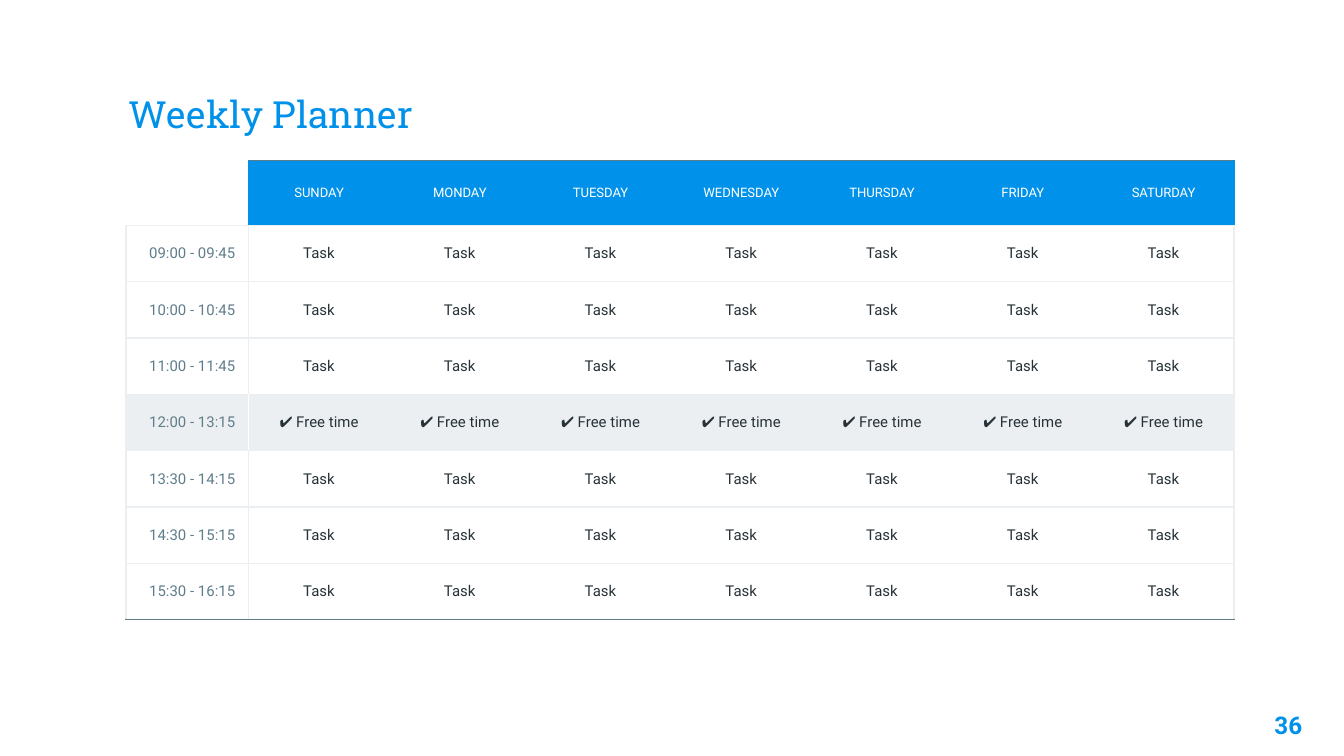
import dataclasses
import typing

import lxml.etree
import pptx
import pptx.dml.color
import pptx.enum.text
import pptx.oxml.ns
import pptx.table
import pptx.text.text
import pptx.util

Cm = pptx.util.Cm
Align = pptx.enum.text.PP_ALIGN
Anchor = pptx.enum.text.MSO_ANCHOR


@dataclasses.dataclass(frozen=True)
class Theme:
    accent: str = "0091EA"
    slate: str = "607D8B"
    pale: str = "ECEFF1"
    ink: str = "263238"
    white: str = "FFFFFF"
    title_font: str = "Roboto Slab"
    body_font: str = "Roboto"
    title_size: int = 20
    number_size: int = 13
    header_size: int = 7
    body_size: int = 8
    border_width: float = 0.75
    inset: float = 0.25


@dataclasses.dataclass(frozen=True)
class TextStyle:
    size: int
    color: str
    align: Align
    font: str
    bold: bool = False


@dataclasses.dataclass(frozen=True)
class Label:
    text: str
    left: float
    top: float
    width: float
    height: float
    anchor: Anchor
    style: TextStyle


@dataclasses.dataclass(frozen=True)
class Slot:
    time: str
    activity: str = "Task"
    is_break: bool = False


THEME = Theme()
TITLE = TextStyle(THEME.title_size, THEME.accent, Align.LEFT, THEME.title_font)
NUMBER = TextStyle(THEME.number_size, THEME.accent, Align.RIGHT, THEME.body_font, True)
HEADER = TextStyle(THEME.header_size, THEME.white, Align.CENTER, THEME.body_font)
TIME = TextStyle(THEME.body_size, THEME.slate, Align.RIGHT, THEME.body_font)
ACTIVITY = TextStyle(THEME.body_size, THEME.ink, Align.CENTER, THEME.body_font)

LABELS = [
    Label("Weekly Planner", 2.18, 0.86, 21.03, 1.96, Anchor.BOTTOM, TITLE),
    Label("36", 23.34, 13.18, 1.52, 1.09, Anchor.TOP, NUMBER),
]
DAYS = ["SUNDAY", "MONDAY", "TUESDAY", "WEDNESDAY", "THURSDAY", "FRIDAY", "SATURDAY"]
SLOTS = [
    Slot("09:00 - 09:45"),
    Slot("10:00 - 10:45"),
    Slot("11:00 - 11:45"),
    Slot("12:00 - 13:15", "✔ Free time", True),
    Slot("13:30 - 14:15"),
    Slot("14:30 - 15:15"),
    Slot("15:30 - 16:15"),
]

TABLE_LEFT, TABLE_TOP = 2.38, 3.03
TIME_WIDTH, DAYS_WIDTH = 2.32, 18.62
HEADER_HEIGHT, SLOTS_HEIGHT = 1.23, 7.46


def add_text(para: pptx.text.text._Paragraph, text: str, style: TextStyle) -> None:
    para.alignment = style.align
    run = para.add_run()
    run.text = text
    run.font.name = style.font
    run.font.size = pptx.util.Pt(style.size)
    run.font.bold = style.bold
    run.font.color.rgb = pptx.dml.color.RGBColor.from_string(style.color)


def set_insets(holder: typing.Any) -> None:
    holder.margin_left = holder.margin_right = Cm(THEME.inset)
    holder.margin_top = holder.margin_bottom = Cm(THEME.inset)


def add_label(page: typing.Any, label: Label) -> None:
    box = page.shapes.add_textbox(
        Cm(label.left), Cm(label.top), Cm(label.width), Cm(label.height)
    )
    frame = box.text_frame
    frame.word_wrap = True
    frame.vertical_anchor = label.anchor
    set_insets(frame)
    add_text(frame.paragraphs[0], label.text, label.style)


def set_border(cell: pptx.table._Cell, side: str, color: str | None) -> None:
    qn = pptx.oxml.ns.qn
    line = lxml.etree.SubElement(cell._tc.get_or_add_tcPr(), qn(f"a:ln{side}"))
    line.set("w", str(pptx.util.Pt(THEME.border_width)))
    if color is None:
        lxml.etree.SubElement(line, qn("a:noFill"))
    else:
        fill = lxml.etree.SubElement(line, qn("a:solidFill"))
        lxml.etree.SubElement(fill, qn("a:srgbClr")).set("val", color)


def border_colors(row: int, column: int) -> dict[str, str | None]:
    is_header = row == 0
    is_break = not is_header and SLOTS[row - 1].is_break
    divider = THEME.accent if is_header else THEME.white if is_break else THEME.pale
    header_top = THEME.slate if column else None
    first_left = None if is_header else THEME.pale
    last_right = THEME.accent if is_header else THEME.pale
    return {
        "L": {0: first_left, 1: divider}.get(column),
        "R": {0: divider, len(DAYS): last_right}.get(column),
        "T": header_top if is_header else THEME.pale,
        "B": THEME.slate if row == len(SLOTS) else THEME.pale,
    }


def fill_color(row: int, column: int) -> str | None:
    if row == 0:
        return THEME.accent if column else None
    return THEME.pale if SLOTS[row - 1].is_break else None


def cell_text(row: int, column: int) -> tuple[str, TextStyle]:
    if row == 0:
        return (DAYS[column - 1] if column else "", HEADER)
    slot = SLOTS[row - 1]
    return (slot.activity, ACTIVITY) if column else (slot.time, TIME)


def draw_cell(cell: pptx.table._Cell, row: int, column: int) -> None:
    cell.vertical_anchor = Anchor.MIDDLE
    set_insets(cell)
    for side, color in border_colors(row, column).items():
        set_border(cell, side, color)
    color = fill_color(row, column)
    if color is None:
        cell.fill.background()
    else:
        cell.fill.solid()
        cell.fill.fore_color.rgb = pptx.dml.color.RGBColor.from_string(color)
    text, style = cell_text(row, column)
    para = cell.text_frame.paragraphs[0]
    if text:
        add_text(para, text, style)
    else:
        para.font.size = pptx.util.Pt(style.size)


def add_planner(page: typing.Any) -> None:
    table = page.shapes.add_table(
        len(SLOTS) + 1, len(DAYS) + 1,
        Cm(TABLE_LEFT), Cm(TABLE_TOP),
        Cm(TIME_WIDTH + DAYS_WIDTH), Cm(HEADER_HEIGHT + SLOTS_HEIGHT),
    ).table
    table.first_row = table.horz_banding = False
    for index, column in enumerate(table.columns):
        column.width = Cm(DAYS_WIDTH / len(DAYS) if index else TIME_WIDTH)
    for index, row in enumerate(table.rows):
        row.height = Cm(SLOTS_HEIGHT / len(SLOTS) if index else HEADER_HEIGHT)
        for position, cell in enumerate(row.cells):
            draw_cell(cell, index, position)


def main() -> None:
    deck = pptx.Presentation()
    deck.slide_width, deck.slide_height = Cm(25.4), Cm(14.29)
    page = deck.slides.add_slide(deck.slide_layouts[6])
    for label in LABELS:
        add_label(page, label)
    add_planner(page)
    deck.save("out.pptx")


if __name__ == "__main__":
    main()
